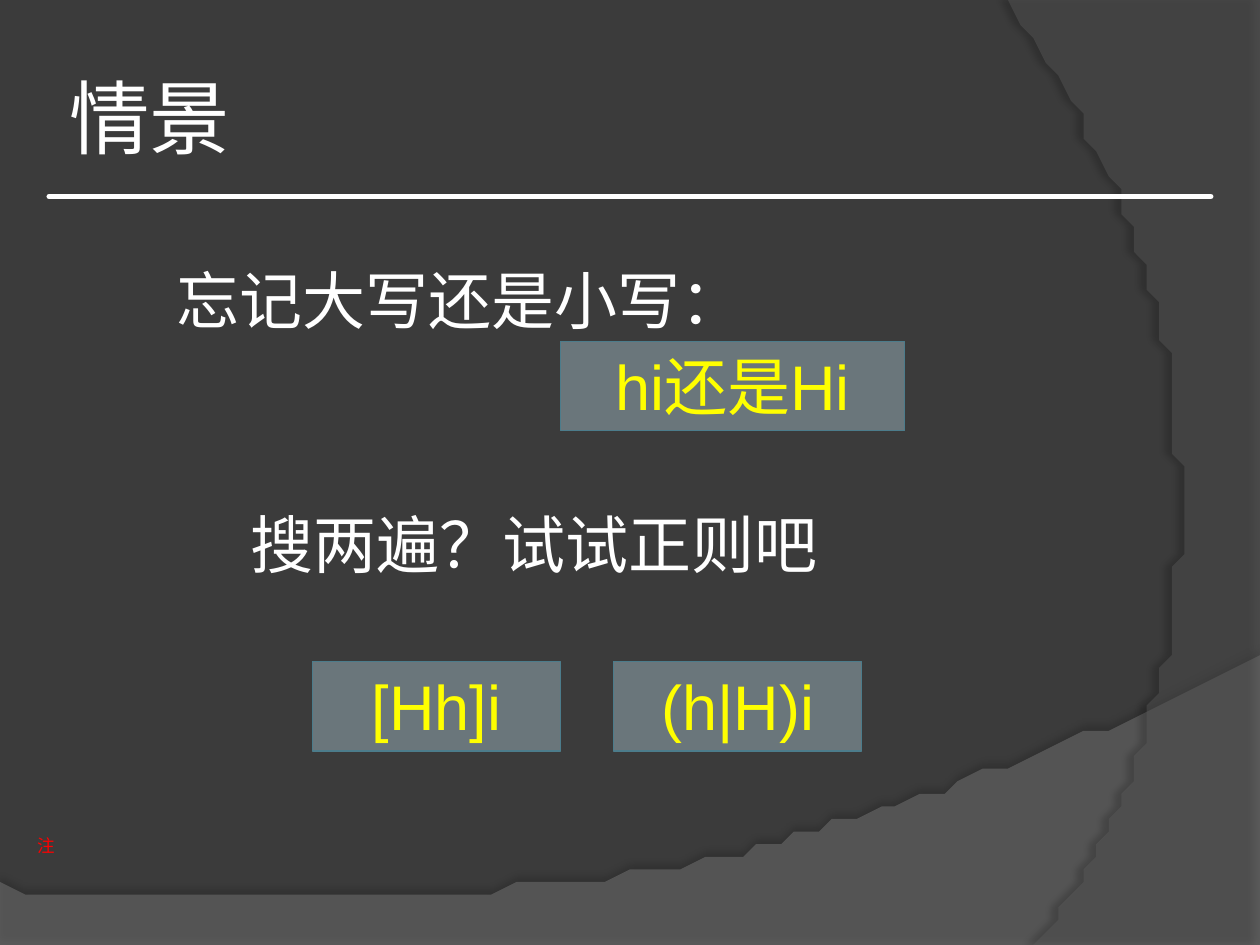
from dataclasses import dataclass

from lxml import etree
from pptx import Presentation, util as u
from pptx.dml import color
from pptx.enum import shapes, text
from pptx.oxml import ns

COLS, ROWS = 100, 75
CELL = u.Inches(0.1)


@dataclass(frozen=True)
class Theme:
    """Colours, fonts and type sizes."""
    back: str = "3B3B3B"
    hill: str = "7F7F7F"
    arc: str = "5E5E5E"
    ink: str = "FFFFFF"
    code: str = "FFFF00"
    note: str = "FF0000"
    panel: str = "A8C6D0"
    edge: str = "4C7C8B"
    head_font: str = "Cabin"
    body_font: str = "Arial"
    head: int = 46
    body: int = 36
    small: int = 10


def rgb(value):
    """Turn a hex string into a colour."""
    return color.RGBColor.from_string(value)


def cells(*values):
    """Turn grid units into slide lengths."""
    return [round(v * CELL) for v in values]


def assign(obj, values):
    """Set attributes from a dict of format values."""
    for name, value in values.items():
        setattr(obj, name, value)


def sub(parent, tag, **attrs):
    """Add a drawing element with attributes."""
    el = etree.SubElement(parent, ns.qn(tag))
    for name, value in attrs.items():
        el.set(name, str(value))
    return el


def curve(p0, p1, p2, p3, steps=60):
    """List the points of a cubic curve."""
    pts = []
    for i in range(steps + 1):
        t = i / steps
        k = ((1 - t) ** 3, 3 * t * (1 - t) ** 2, 3 * t * t * (1 - t), t ** 3)
        pts.append(tuple(sum(w * p[axis] for w, p in zip(k, (p0, p1, p2, p3)))
                         for axis in (0, 1)))
    return pts


class Deck:
    """Holds the style and the current slide."""

    def __init__(self, theme):
        """Start a presentation with one blank slide."""
        self.th = theme
        self.prs = Presentation()
        self.prs.slide_width, self.prs.slide_height = cells(COLS, ROWS)
        self.s = self.prs.slides.add_slide(self.prs.slide_layouts[6])
        fill = self.s.background.fill
        fill.solid()
        fill.fore_color.rgb = rgb(theme.back)

    def paint(self, sp, fill, alpha):
        """Fill a shape with a see-through colour."""
        sp.shadow.inherit = False
        sp.fill.solid()
        sp.fill.fore_color.rgb = rgb(fill)
        clr = sp._element.spPr.find(ns.qn("a:solidFill"))[0]
        sub(clr, "a:alpha", val=alpha * 1000)

    def swoosh(self, pts, fill, alpha, shade, dist, angle):
        """Draw a curved area with a soft shadow."""
        fb = self.s.shapes.build_freeform(*pts[0], scale=CELL)
        fb.add_line_segments(pts[1:], close=True)
        sp = fb.convert_to_shape()
        self.paint(sp, fill, alpha)
        sp.line.fill.background()
        effects = sp._element.spPr.find(ns.qn("a:effectLst"))
        shadow = sub(effects, "a:outerShdw", blurRad=u.Pt(4), dist=u.Pt(dist),
                     dir=angle * 60000, algn="ctr", rotWithShape=0)
        clr = sub(shadow, "a:srgbClr", val="000000")
        sub(clr, "a:alpha", val=shade * 1000)

    def put_text(self, sp, words, frame, **font):
        """Put one styled paragraph into a shape."""
        tf = sp.text_frame
        assign(tf, {"word_wrap": True, **frame})
        p = tf.paragraphs[0]
        r = p.add_run()
        r.text = words
        r.font.color.rgb = rgb(font.pop("ink", self.th.ink))
        size = u.Pt(font.pop("size", self.th.body))
        assign(r.font, {"name": self.th.body_font, "size": size, **font})
        return p

    def label(self, words, x, y, w, h, **font):
        """Add a text box that grows with its text."""
        sp = self.s.shapes.add_textbox(*cells(x, y, w, h))
        self.put_text(sp, words, {"auto_size": text.MSO_AUTO_SIZE.SHAPE_TO_FIT_TEXT}, **font)

    def title(self, words, x, y, w, h):
        """Add the heading, centred on its height."""
        sp = self.s.shapes.add_textbox(*cells(x, y, w, h))
        frame = {"margin_" + side: u.Inches(0.05)
                 for side in ("left", "right", "top", "bottom")}
        frame["vertical_anchor"] = text.MSO_ANCHOR.MIDDLE
        self.put_text(sp, words, frame, name=self.th.head_font, size=self.th.head)

    def panel(self, words, x, y, w, h=7.1):
        """Add a framed code sample."""
        sp = self.s.shapes.add_shape(shapes.MSO_SHAPE.RECTANGLE, *cells(x, y, w, h))
        self.paint(sp, self.th.panel, 43)
        sp.line.color.rgb = rgb(self.th.edge)
        sp.line.width = u.Pt(0.75)
        frame = {"auto_size": text.MSO_AUTO_SIZE.SHAPE_TO_FIT_TEXT,
                 "vertical_anchor": text.MSO_ANCHOR.TOP}
        p = self.put_text(sp, words, frame, ink=self.th.code)
        p.alignment = text.PP_ALIGN.CENTER

    def rule(self, margin, y):
        """Draw a round-ended line between equal margins."""
        ln = self.s.shapes.add_connector(shapes.MSO_CONNECTOR.STRAIGHT,
                                         *cells(margin, y, COLS - margin, y))
        ln.line.color.rgb = rgb(self.th.ink)
        ln.line.width = u.Pt(3)
        spPr = ln._element.spPr
        spPr.find(ns.qn("a:ln")).set("cap", "rnd")
        sub(spPr, "a:effectLst")


def main():
    """Build and save the slide."""
    th = Theme()
    d = Deck(th)
    hill = curve((COLS, 52), (55.9, 72.9), (39.1, 71.9), (0, 70.5))
    d.swoosh([(0, ROWS), (COLS, ROWS)] + hill, th.hill, 45, 35, 3.5, 270)
    arc = curve((82.1, ROWS), (93.5, 61.9), (101.8, 30), (80, 0))
    d.swoosh([(COLS, 0.2), (COLS, ROWS)] + arc, th.arc, 40, 45, 4, 180)

    d.title("情景", 5, 3, 81.7, 12.5)
    d.rule(3.9, 15.6)
    d.label("忘记大写还是小写：", 13, 20.3, 45.6, 7.1)
    d.panel("hi还是Hi", 44.5, 27.1, 27.3)
    d.label("搜两遍？试试正则吧", 18.9, 39.6, 60.2, 7.1)
    for i, pattern in enumerate(("[Hh]i", "(h|H)i")):
        d.panel(pattern, 24.8 + i * 23.9, 52.5, 19.7)
    d.label("注", 2, 65.8, 60.2, 2.7, ink=th.note, size=th.small)
    d.prs.save("out.pptx")


main()
